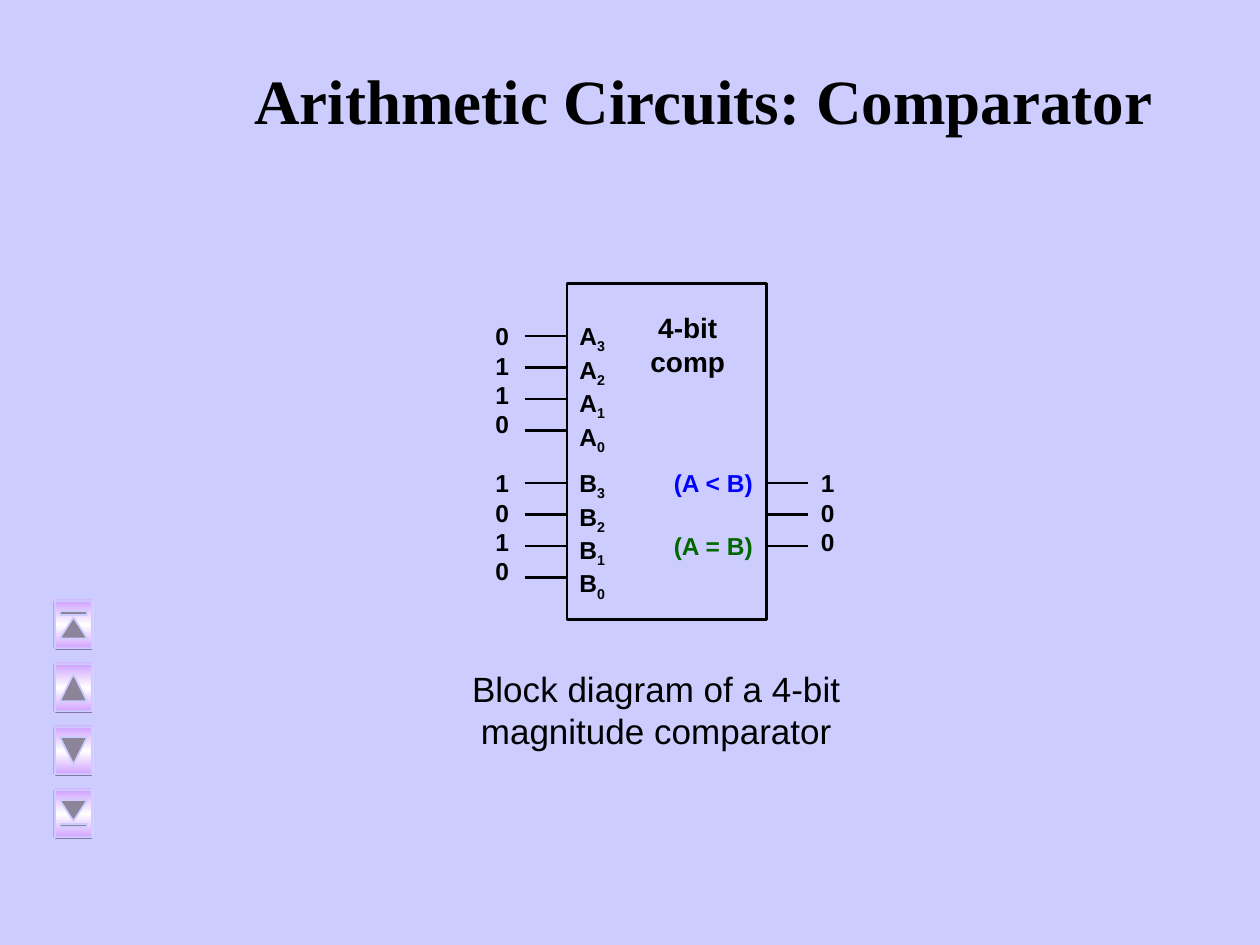
from copy import deepcopy

from lxml import etree
from pptx import Presentation
from pptx.dml.color import RGBColor
from pptx.enum.shapes import MSO_CONNECTOR, MSO_SHAPE
from pptx.enum.text import MSO_ANCHOR, PP_ALIGN
from pptx.oxml.ns import qn
from pptx.util import Inches, Pt

STRAIGHT, RECTANGLE = MSO_CONNECTOR.STRAIGHT, MSO_SHAPE.RECTANGLE
LEFT, CENTER, MIDDLE = PP_ALIGN.LEFT, PP_ALIGN.CENTER, MSO_ANCHOR.MIDDLE

UNIT = 12  # grid cells per inch
PIN_STEP, PIN_LENGTH = 3, 4
BLOCK = (54, 27, 19, 32)
BLOCK_RIGHT = BLOCK[0] + BLOCK[2]
BUTTON_LEFT, BUTTON_TOP, BUTTON_STEP = 5, 57, 6
BUTTON_WIDTH, BUTTON_HEIGHT, BEVEL = 4, 5, 0.25
INK, PAPER, LILAC = "000000", "CCCCFF", "CC99FF"
LABEL = {"name": "Arial", "size": Pt(14), "bold": True}


def grid(*cells):
    return [Inches(cell / UNIT) for cell in cells]


def color(value):
    return RGBColor.from_string(value)


def format_font(font, values, ink=INK):
    for name, value in values.items():
        setattr(font, name, value)
    font.color.rgb = color(ink)


def add_title(page, text):
    title = page.shapes.title
    title.left, title.top, title.width, title.height = grid(16, 2, 102, 15)
    title.text_frame.text = text
    title.text_frame.vertical_anchor = MIDDLE
    para = title.text_frame.paragraphs[0]
    para.alignment = CENTER
    format_font(para.runs[0].font,
                {"name": "Times New Roman", "size": Pt(36), "bold": True})


def add_text(page, place, lines, values=LABEL, ink=INK, align=LEFT):
    """Each line is a tuple: its text, then an optional subscript."""
    frame = page.shapes.add_textbox(*grid(*place)).text_frame
    frame.word_wrap = True
    for index, parts in enumerate(lines):
        para = frame.add_paragraph() if index else frame.paragraphs[0]
        para.alignment = align
        for level, part in enumerate(parts):
            span = para.add_run()
            span.text = part
            format_font(span.font, values, ink)
            if level:
                span.font._element.set("baseline", "-25000")


def add_pins(page, left, top, count):
    for row in range(count):
        y = top + row * PIN_STEP
        pin = page.shapes.add_connector(
            STRAIGHT, *grid(left, y, left + PIN_LENGTH, y))
        pin.line.color.rgb = color(INK)
        pin.line.width = Pt(1.25)
        etree.SubElement(pin._element.spPr, qn("a:effectLst"))


def add_block(page):
    block = page.shapes.add_shape(RECTANGLE, *grid(*BLOCK))
    block.shadow.inherit = False
    block.fill.background()
    block.line.color.rgb = color(INK)
    block.line.width = Pt(1.5)


def add_polygon(page, top, points, fill=None, line=PAPER, width=1):
    corners = [grid(BUTTON_LEFT + x, top + y) for x, y in points]
    builder = page.shapes.build_freeform(*corners[0], scale=1.0)
    builder.add_line_segments(corners[1:], close=True)
    shape = builder.convert_to_shape()
    shape.shadow.inherit = False
    shape.line.color.rgb = color(line)
    shape.line.width = Pt(width)
    if fill:
        shape.fill.solid()
        shape.fill.fore_color.rgb = color(fill)
    return shape


def fill_gradient(shape, stops):
    """Fill from top to bottom with three (position, colour) stops."""
    shape.fill.gradient()
    shape.fill.gradient_angle = 90
    first = shape._element.spPr.find(".//" + qn("a:gs"))
    first.addnext(deepcopy(first))
    for stop, (position, value) in zip(shape.fill.gradient_stops, stops):
        stop.position = position
        stop.color.rgb = color(value)


def add_button(page, top, down, bar):
    # Face
    right, bottom = BUTTON_WIDTH, BUTTON_HEIGHT
    outer = [(0, 0), (right, 0), (right, bottom), (0, bottom)]
    inner = [(BEVEL, BEVEL), (right - BEVEL, BEVEL),
             (right - BEVEL, bottom - BEVEL), (BEVEL, bottom - BEVEL)]
    face = add_polygon(page, top, outer)
    fill_gradient(face, [(0, LILAC), (0.5, "FFFFFF"), (1, LILAC)])

    # Bevelled edges: top, right, bottom, left
    for side, shade in enumerate(("D6ADFF", "E0D6FF", "7A6B99", "A394C2")):
        after = (side + 1) % 4
        add_polygon(page, top, [outer[side], outer[after],
                                inner[after], inner[side]], shade)

    # Arrow, with a bar at its tip for the first and last buttons
    tip = 1.8 if bar else 1.2
    icons = [[(2, tip), (3.3, 3.8), (0.7, 3.8)]]
    if bar:
        icons.append([(0.7, 1.2), (3.3, 1.2), (3.3, 1.55), (0.7, 1.55)])
    for icon in icons:
        if down:
            icon = [(x, bottom - y) for x, y in icon]
        add_polygon(page, top, icon, "8C8499")


def main():
    deck = Presentation()
    deck.slide_width, deck.slide_height = Inches(10), Inches(7.5)
    page = deck.slides.add_slide(deck.slide_layouts[5])
    page.background.fill.solid()
    page.background.fill.fore_color.rgb = color(PAPER)
    add_title(page, "Arithmetic Circuits: Comparator")

    # Comparator block with its input and output pins
    add_block(page)
    for name, bits, text_top, pin_top in (("A", "0110", 30, 32),
                                          ("B", "1010", 44, 46)):
        add_text(page, (54, text_top, 5.75, 14), [(name, i) for i in "3210"])
        add_text(page, (46, text_top, 5.75, 12.5), bits)
        add_pins(page, BLOCK[0] - PIN_LENGTH, pin_top, len(bits))
    add_pins(page, BLOCK_RIGHT, 46, 3)
    add_text(page, (77, 44, 5.75, 9.6), "100")

    # Labels
    add_text(page, (59, 29, 13, 7.7), [("4-bit comp",)],
             {**LABEL, "size": Pt(16)}, align=CENTER)
    add_text(page, (63, 44, 11, 4), [("(A < B)",)], ink="0000FF")
    add_text(page, (63, 50, 11, 4), [("(A = B)",)], ink="006600")
    add_text(page, (43, 63, 39, 9.25),
             [("Block diagram of a 4-bit magnitude comparator",)],
             {"name": "Arial", "size": Pt(20)}, align=CENTER)

    # Navigation buttons: first, previous, next, last
    buttons = ((False, True), (False, False), (True, False), (True, True))
    for row, (down, bar) in enumerate(buttons):
        add_button(page, BUTTON_TOP + row * BUTTON_STEP, down, bar)

    deck.save("out.pptx")


if __name__ == "__main__":
    main()
